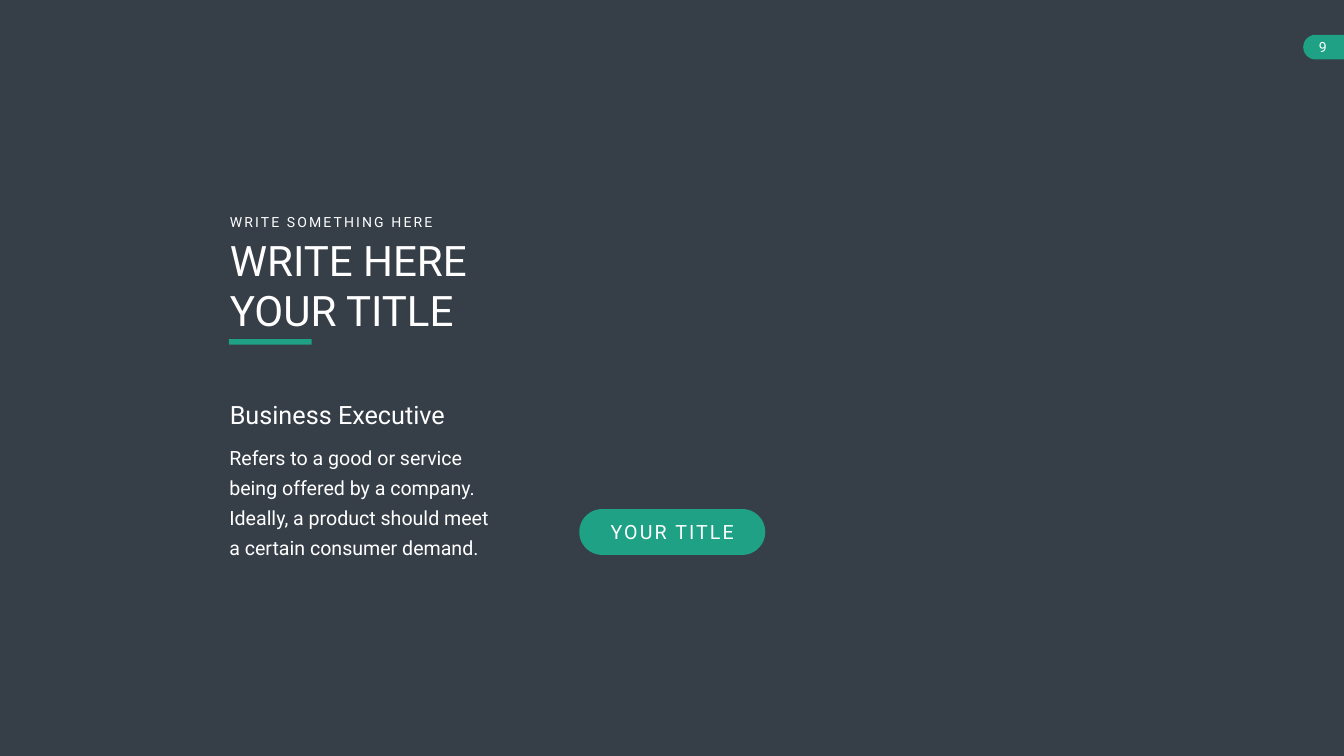
from pptx import Presentation
from pptx import util as u
from pptx.dml.color import RGBColor
from pptx.enum import shapes, text
from pptx.oxml.ns import qn
from lxml import etree

PX = 9144
C = {"slate": "363E48", "green": "1EA185", "white": "FFFFFF"}
SHAPE = shapes.MSO_SHAPE
ALIGN = text.PP_ALIGN


def add_block(kind, box, color):
    sp = s.shapes.add_shape(kind, *[v * PX for v in box])
    sp.shadow.inherit = False
    sp.fill.solid()
    sp.fill.fore_color.rgb = RGBColor.from_string(C[color])
    sp.line.fill.background()
    return sp


def write(sp, content, size, align=ALIGN.LEFT, anchor=text.MSO_ANCHOR.TOP, wrap=True, spacing=0):
    tf = sp.text_frame
    tf.word_wrap = wrap
    tf.auto_size = text.MSO_AUTO_SIZE.NONE
    tf.vertical_anchor = anchor
    p = tf.paragraphs[0]
    r = p.add_run()
    r.text = content
    p.alignment = align
    p.font.name = "Roboto"
    p.font.size = u.Pt(size)
    p.font.color.rgb = RGBColor.from_string(C["white"])
    if spacing:
        r.font._element.set("spc", str(spacing * 100))
    return tf


prs = Presentation()
prs.slide_width, prs.slide_height = 2666 * PX, 1500 * PX
s = prs.slides.add_slide(prs.slide_layouts[5])
s.background.fill.solid()
s.background.fill.fore_color.rgb = RGBColor.from_string(C["slate"])

tab_end = add_block(SHAPE.FLOWCHART_DELAY, (2585, 69, 49, 49), "green")
tab_end.rotation = 180
add_block(SHAPE.RECTANGLE, (2634, 69, 32, 49), "green")
number = s.shapes.add_textbox(2600 * PX, 67 * PX, 48 * PX, 54 * PX)
tf = write(number, "9", 20, ALIGN.CENTER, text.MSO_ANCHOR.MIDDLE, wrap=False)
tf.margin_left = tf.margin_right = 0

panel = add_block(SHAPE.RECTANGLE, (339, 285, 994, 930), "slate")
color = panel._element.spPr.find(qn("a:solidFill"))[0]
etree.SubElement(color, qn("a:alpha"), val="80000")

body = s.shapes.add_textbox(431 * PX, 859 * PX, 589 * PX, 260 * PX)
tf = write(body, "Refers to a good or service being offered by a company. "
           "Ideally, a product should meet a certain consumer demand.", 28)
tf.margin_left = tf.margin_right = 24 * PX
tf.margin_top = tf.margin_bottom = 12 * PX
tf.paragraphs[0].line_spacing = u.Pt(43)

heading = s.shapes.add_textbox(446 * PX, 788 * PX, 506 * PX, 71 * PX)
write(heading, "Business Executive", 36)

pill = add_block(SHAPE.ROUNDED_RECTANGLE, (1149, 1010, 369, 91), "green")
pill.adjustments[0] = 0.5
write(pill, "YOUR TITLE", 28, ALIGN.CENTER, text.MSO_ANCHOR.MIDDLE, wrap=False, spacing=3)

add_block(SHAPE.RECTANGLE, (454, 673, 164, 11), "green")
title = s.shapes.title
title.left, title.top, title.width, title.height = [v * PX for v in (446, 460, 589, 212)]
write(title, "WRITE HERE YOUR TITLE", 60)
s.shapes._spTree.append(title._element)

kicker = s.shapes.add_textbox(446 * PX, 418 * PX, 435 * PX, 44 * PX)
write(kicker, "WRITE SOMETHING HERE", 20, wrap=False, spacing=3)

prs.save("out.pptx")
